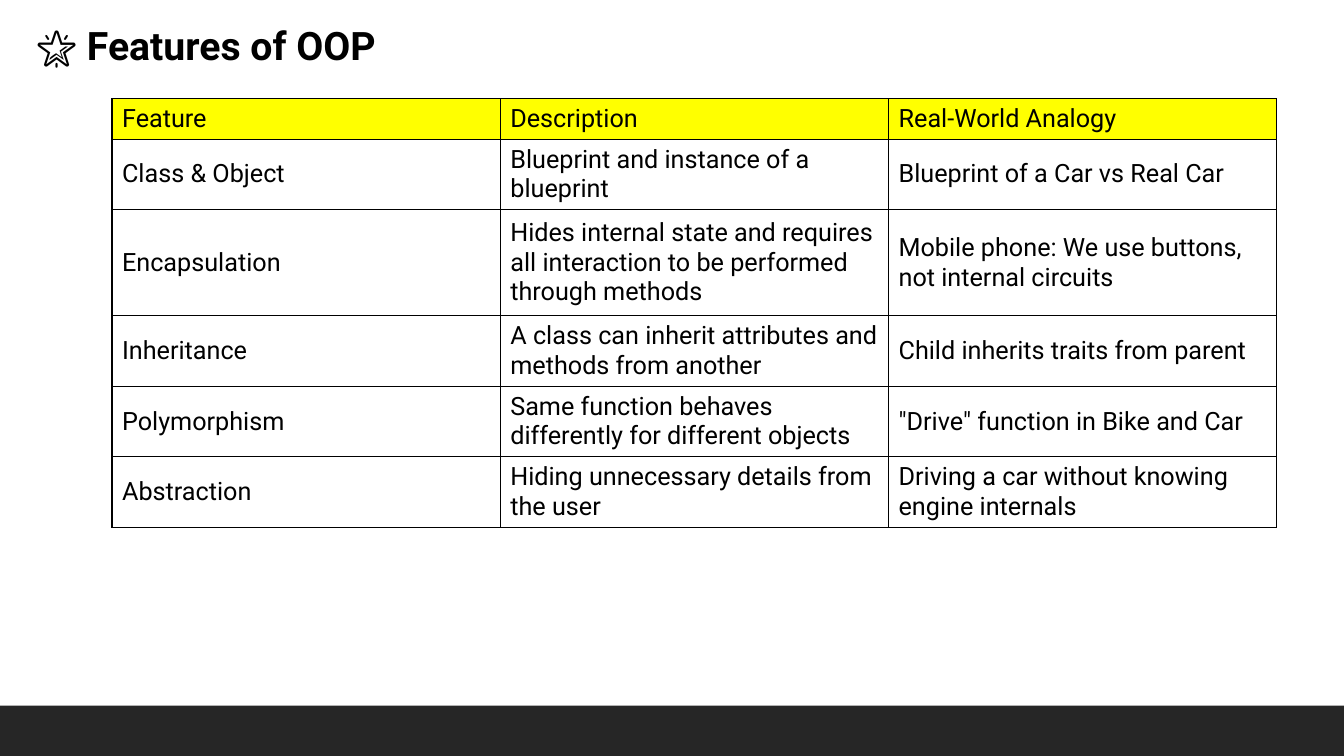
from lxml.etree import SubElement as Sub
from pptx import Presentation
from pptx.dml.color import RGBColor
from pptx.enum.shapes import MSO_SHAPE as Shape
from pptx.enum.text import MSO_ANCHOR as Anchor, MSO_AUTO_SIZE as Fit
from pptx.oxml.ns import qn
from pptx.util import Inches, Pt

COLS, ROWS = 120, 150  # slide grid

FEATURES = [
    ("Feature", "Description", "Real-World Analogy"),
    ("Class & Object", "Blueprint and instance of a blueprint",
     "Blueprint of a Car vs Real Car"),
    ("Encapsulation",
     "Hides internal state and requires all interaction to be performed through methods",
     "Mobile phone: We use buttons, not internal circuits"),
    ("Inheritance", "A class can inherit attributes and methods from another",
     "Child inherits traits from parent"),
    ("Polymorphism", "Same function behaves differently for different objects",
     '"Drive" function in Bike and Car'),
    ("Abstraction", "Hiding unnecessary details from the user",
     "Driving a car without knowing engine internals"),
]
HEIGHTS = [7, 14, 21, 14, 14, 14]  # in grid rows


def color(code):
    return RGBColor.from_string(code)


class Deck:
    font, ink, paper, head, dark = "Roboto", "000000", "FFFFFF", "FFFF00", "262626"

    def __init__(self):
        self.prs = Presentation()
        self.prs.slide_width, self.prs.slide_height = Inches(13.33), Inches(7.5)
        self.slide = self.prs.slides.add_slide(self.prs.slide_layouts[6])

    def col(self, n):
        return round(self.prs.slide_width * n / COLS)

    def row(self, n):
        return round(self.prs.slide_height * n / ROWS)

    def box(self, left, top, width, height):
        return self.col(left), self.row(top), self.col(width), self.row(height)

    def label(self, frame, text, size, bold=False):
        para = frame.paragraphs[0]
        para.text = text
        font = para.font
        font.name, font.size, font.bold = self.font, Pt(size), bold
        font.color.rgb = color(self.ink)

    def bar(self, *area):
        bar = self.slide.shapes.add_shape(Shape.RECTANGLE, *self.box(*area))
        bar.shadow.inherit = False
        bar.fill.solid()
        bar.fill.fore_color.rgb = color(self.dark)
        bar.line.fill.background()

    def title(self, text, *area):
        frame = self.slide.shapes.add_textbox(*self.box(*area)).text_frame
        frame.word_wrap = True
        frame.auto_size = Fit.SHAPE_TO_FIT_TEXT
        self.label(frame, text, 28, True)

    def edge(self, cell):
        props = cell._tc.get_or_add_tcPr()
        for i, side in enumerate(("lnL", "lnR", "lnT", "lnB")):
            line = Sub(props, qn(f"a:{side}"), w=str(Pt(1)))
            Sub(Sub(line, qn("a:solidFill")), qn("a:srgbClr"), val=self.ink)
            props.insert(i, line)  # borders come before the fill

    def table(self, data, heights, left, top, width):
        area = self.box(left, top, width, sum(heights))
        table = self.slide.shapes.add_table(len(data), len(data[0]), *area).table
        table.horz_banding = False
        for r, texts in enumerate(data):
            table.rows[r].height = self.row(heights[r])
            for c, text in enumerate(texts):
                cell = table.cell(r, c)
                cell.vertical_anchor = Anchor.MIDDLE
                cell.fill.solid()
                cell.fill.fore_color.rgb = color(self.paper if r else self.head)
                self.label(cell.text_frame, text, 18)
                self.edge(cell)


def main():
    deck = Deck()
    # Footer band
    deck.bar(0, 140, COLS, 10)
    # Heading
    deck.title("🌟 Features of OOP", 2.35, 3.2, 50, 11.4)
    # Feature table
    deck.table(FEATURES, HEIGHTS, 10, 19.6, 104)
    deck.prs.save("out.pptx")


if __name__ == "__main__":
    main()
